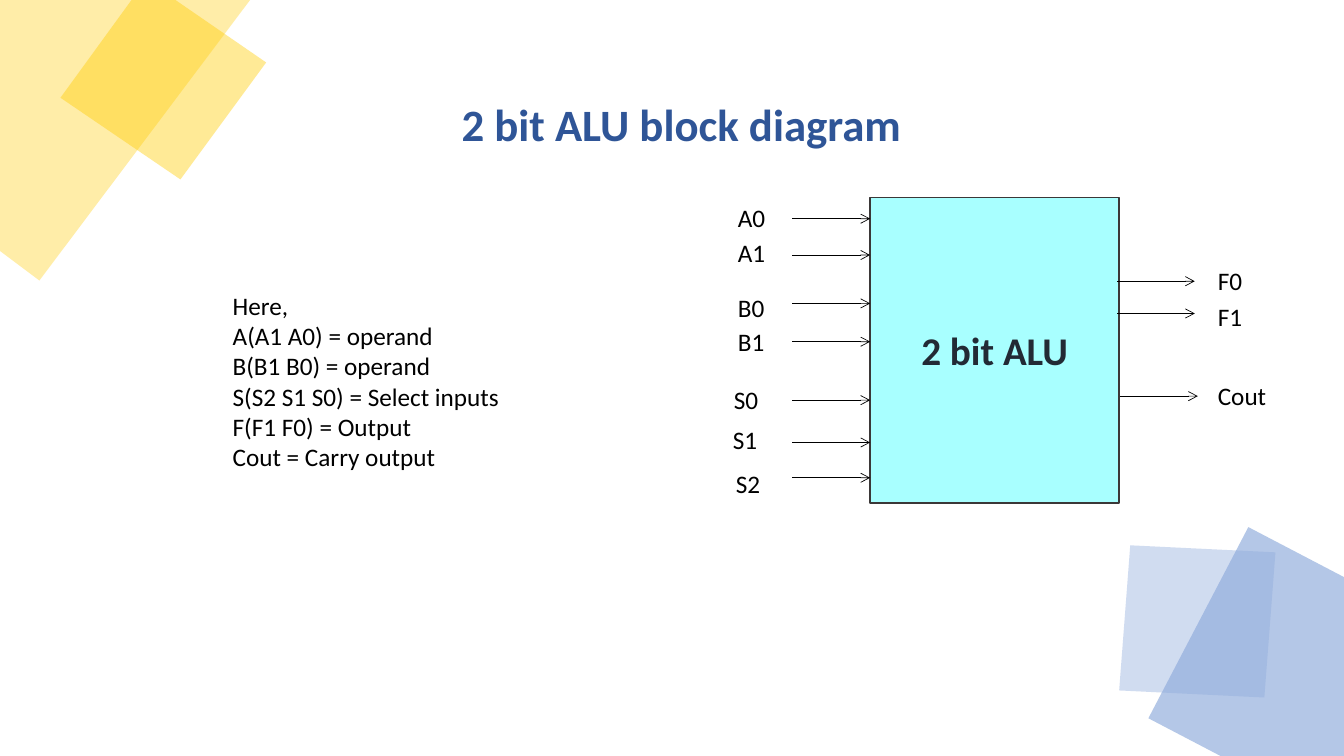
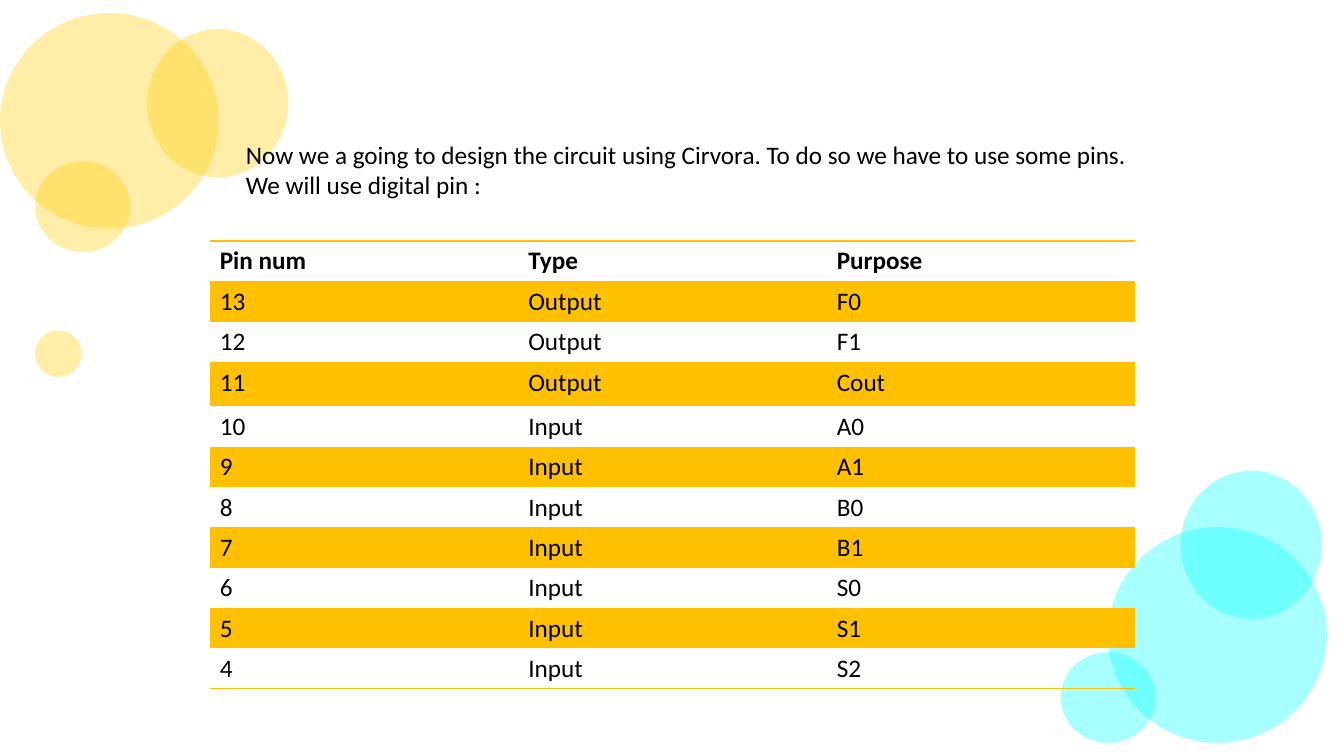
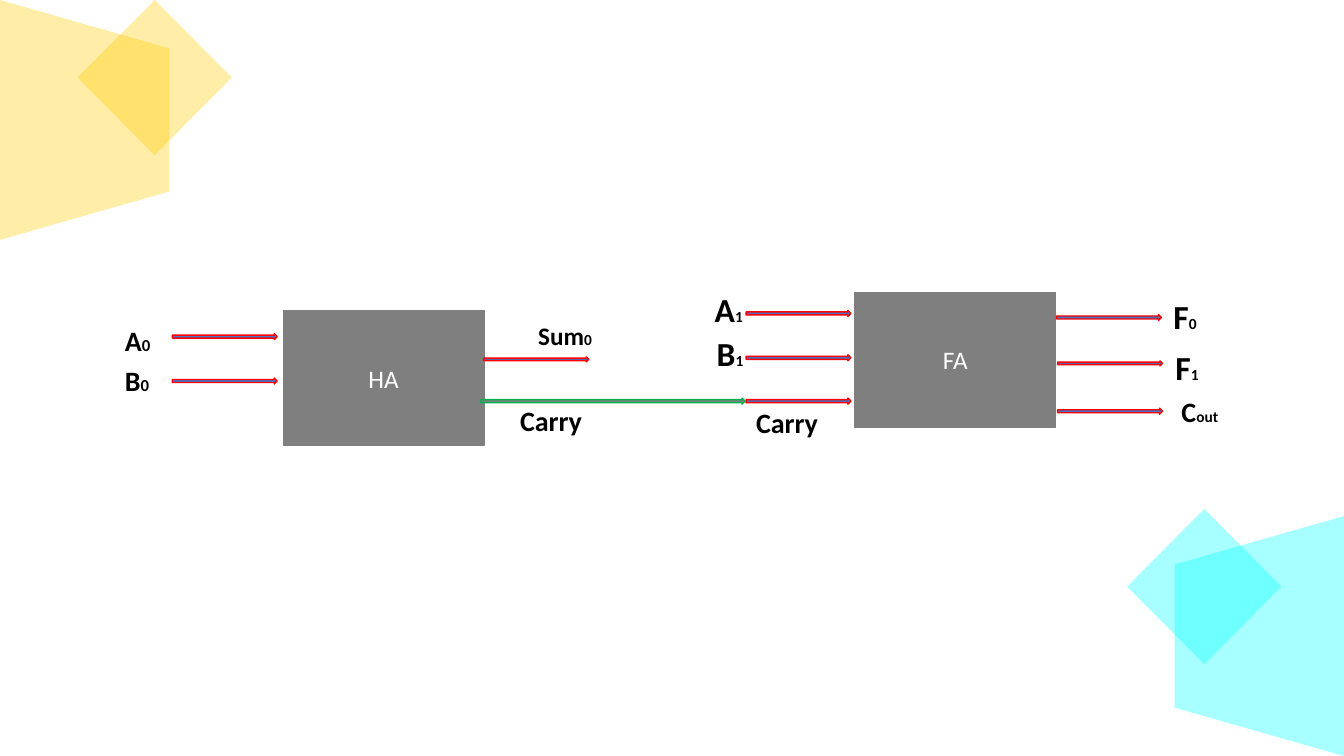
from lxml import etree
from pptx import Presentation
from pptx.dml.color import RGBColor
from pptx.enum.shapes import MSO_CONNECTOR, MSO_SHAPE
from pptx.enum.text import MSO_ANCHOR, PP_ALIGN
from pptx.oxml.ns import qn
from pptx.util import Inches, Pt

RECTANGLE, OVAL = MSO_SHAPE.RECTANGLE, MSO_SHAPE.OVAL
DIAMOND, RIGHT_ARROW = MSO_SHAPE.DIAMOND, MSO_SHAPE.RIGHT_ARROW
STRAIGHT = MSO_CONNECTOR.STRAIGHT
LEFT, CENTER = PP_ALIGN.LEFT, PP_ALIGN.CENTER
MIDDLE = MSO_ANCHOR.MIDDLE

# Shared look
SLIDE_WIDTH, SLIDE_HEIGHT = 13.33, 7.5
FONT = "Calibri"
BLACK, WHITE, GRAY = "000000", "FFFFFF", "7F7F7F"
YELLOW, CYAN, AMBER = "FFCC00", "00FFFF", "FFC000"
BLUE, RED, GREEN = "4472C4", "FF0000", "00B050"
TITLE_BLUE, PALE_BLUE, SOFT_BLUE = "2F5597", "B4C7E7", "8FAADC"
NAVY, CHARCOAL = "222A35", "3B3838"
TINT = 34
NO_TABLE_STYLE = "{2D5ABB26-0587-4C30-8999-92F81FD0307C}"


def color(hex_string):
    return RGBColor.from_string(hex_string)


def write_text(frame, text, size=18, text_color=BLACK, bold=False, align=LEFT,
               subscript="", subscript_size=11):
    """Fill a text frame, one paragraph a line, with an optional smaller suffix."""
    frame.word_wrap = True
    for index, line in enumerate(text.split("\n")):
        paragraph = frame.paragraphs[0] if index == 0 else frame.add_paragraph()
        paragraph.alignment = align
        for content, points in ((line, size), (subscript, subscript_size)):
            if content:
                run = paragraph.add_run()
                run.text = content
                run.font.name = FONT
                run.font.size = Pt(points)
                run.font.bold = bold
                run.font.color.rgb = color(text_color)


def add_text(slide, text, left, top, width, height, **text_format):
    box = slide.shapes.add_textbox(Inches(left), Inches(top), Inches(width), Inches(height))
    write_text(box.text_frame, text, **text_format)


def add_title(slide, text, left, top, width):
    add_text(slide, text, left, top, width, 0.64, size=32, text_color=TITLE_BLUE, bold=True)


def style_shape(shape, fill, opacity=100, line=None):
    shape.shadow.inherit = False
    shape.fill.solid()
    shape.fill.fore_color.rgb = color(fill)
    if opacity < 100:
        fill_color = shape.fill._xPr.find(qn("a:solidFill"))[0]
        etree.SubElement(fill_color, qn("a:alpha"), val=str(opacity * 1000))
    if line:
        shape.line.color.rgb = color(line)
        shape.line.width = Pt(1)
    else:
        shape.line.fill.background()


def add_shape(slide, kind, left, top, width, height, fill, rotation=0, **style):
    shape = slide.shapes.add_shape(kind, Inches(left), Inches(top), Inches(width), Inches(height))
    shape.rotation = rotation
    style_shape(shape, fill, **style)
    return shape


def add_polygon(slide, points, fill, opacity):
    corners = [(Inches(x), Inches(y)) for x, y in points]
    builder = slide.shapes.build_freeform(*corners[0])
    builder.add_line_segments(corners[1:], close=True)
    style_shape(builder.convert_to_shape(), fill, opacity)


def add_block(slide, text, left, top, width, height, fill, line, opacity=100, **text_format):
    block = add_shape(slide, RECTANGLE, left, top, width, height, fill, opacity=opacity, line=line)
    block.text_frame.vertical_anchor = MIDDLE
    write_text(block.text_frame, text, align=CENTER, **text_format)


def add_thin_arrow(slide, left, top, length=0.77):
    arrow = slide.shapes.add_connector(
        STRAIGHT, Inches(left), Inches(top), Inches(left + length), Inches(top))
    arrow.line.color.rgb = color(BLACK)
    arrow.line.width = Pt(0.5)
    etree.SubElement(arrow.line._get_or_add_ln(), qn("a:tailEnd"), type="arrow")
    etree.SubElement(arrow._element.spPr, qn("a:effectLst"))


def add_signal_arrow(slide, left, top, width=1.04, height=0.06, fill=BLUE, line=RED):
    add_shape(slide, RIGHT_ARROW, left, top, width, height, fill, line=line)


def set_cell_border(cell, *sides):
    """Rule the given sides; borders come before the fill in the cell's properties."""
    properties = cell._tc.get_or_add_tcPr()
    for index, side in enumerate(sides):
        border = etree.Element(qn("a:" + side), w=str(Pt(1)))
        fill = etree.SubElement(border, qn("a:solidFill"))
        etree.SubElement(fill, qn("a:srgbClr"), val=AMBER)
        properties.insert(index, border)


def add_pin_table(slide, rows, left, top, column_width, row_height):
    columns = len(rows[0])
    table = slide.shapes.add_table(
        len(rows), columns, Inches(left), Inches(top),
        Inches(column_width * columns), Inches(row_height * len(rows))).table
    table.first_row = table.horz_banding = False
    table._tbl.tblPr.find(qn("a:tableStyleId")).text = NO_TABLE_STYLE
    for column in table.columns:
        column.width = Inches(column_width)
    for row_index, values in enumerate(rows):
        table.rows[row_index].height = Inches(row_height)
        for column_index, value in enumerate(values):
            cell = table.cell(row_index, column_index)
            write_text(cell.text_frame, value, bold=row_index == 0)
            if row_index % 2:
                cell.fill.solid()
                cell.fill.fore_color.rgb = color(AMBER)
            else:
                cell.fill.background()
            if row_index == 0:
                set_cell_border(cell, "lnT", "lnB")
            elif row_index == len(rows) - 1:
                set_cell_border(cell, "lnB")
    return table


def build_block_diagram(slide):
    # Corner decoration
    add_shape(slide, RECTANGLE, -1.03, -1.71, 2.92, 4.02, YELLOW, rotation=36.9, opacity=TINT)
    add_polygon(slide, [(0.6, 0.97), (1.45, -0.2), (2.64, 0.62), (1.79, 1.78)], YELLOW, 41)
    add_shape(slide, RECTANGLE, 11.73, 5.74, 2.73, 2.14, PALE_BLUE, rotation=27.6)
    add_polygon(slide, [(11.1, 6.85), (11.21, 5.41), (12.65, 5.48), (12.54, 6.92)], SOFT_BLUE, 41)

    # Title and block
    add_title(slide, "2 bit ALU block diagram", 4.48, 0.91, 4.67)
    add_block(slide, "2 bit ALU", 8.63, 1.96, 2.47, 3.03, CYAN, CHARCOAL, opacity=TINT,
              size=28, text_color=NAVY, bold=True)

    # Pins: name, arrow left and top, label left and top
    pins = [
        ("A0", 7.86, 2.17, 7.22, 1.96), ("A1", 7.86, 2.53, 7.22, 2.31),
        ("B0", 7.86, 3.01, 7.22, 2.85), ("B1", 7.86, 3.39, 7.22, 3.19),
        ("S0", 7.86, 3.97, 7.18, 3.76), ("S1", 7.86, 4.39, 7.17, 4.16),
        ("S2", 7.86, 4.74, 7.2, 4.6),
        ("F0", 11.08, 2.79, 11.98, 2.58), ("F1", 11.08, 3.11, 11.98, 2.94),
        ("Cout", 11.11, 3.93, 11.98, 3.72),
    ]
    for name, arrow_left, arrow_top, label_left, label_top in pins:
        add_thin_arrow(slide, arrow_left, arrow_top)
        add_text(slide, name, label_left, label_top, 0.69, 0.4)

    # Legend
    add_text(slide, "Here,\nA(A1 A0) = operand\nB(B1 B0) = operand\n"
             "S(S2 S1 S0) = Select inputs\nF(F1 F0) = Output\nCout = Carry output",
             2.21, 2.83, 3.33, 1.92)


def build_pin_list(slide):
    # Bubbles
    bubbles = [
        (0, 0.13, 2.17, 2.14, YELLOW), (0.35, 1.6, 0.94, 0.9, YELLOW),
        (1.46, 0.29, 1.4, 1.47, YELLOW), (0.35, 3.28, 0.46, 0.46, YELLOW),
        (10.99, 5.23, 2.17, 2.14, CYAN), (11.71, 4.67, 1.4, 1.47, CYAN),
        (10.52, 6.47, 0.94, 0.9, CYAN),
    ]
    for bubble in bubbles:
        add_shape(slide, OVAL, *bubble, opacity=TINT)

    # Introduction
    add_text(slide, "Now we a going to design the circuit using Cirvora. "
             "To do so we have to use some pins.\nWe will use digital pin :",
             2.34, 1.33, 9.38, 0.7)

    # Pin table, numbered downwards from 13
    purposes = ["F0", "F1", "Cout", "A0", "A1", "B0", "B1", "S0", "S1", "S2"]
    rows = [("Pin num", "Type", "Purpose")]
    for index, purpose in enumerate(purposes):
        rows.append((str(13 - index), "Output" if index < 3 else "Input", purpose))
    table = add_pin_table(slide, rows, 2.08, 2.39, 3.06, 0.4)
    table.rows[3].height = Inches(0.44)


def build_adder_diagram(slide):
    # Corner decoration: the lower trapezoid is the upper one turned by half
    trapezoid = [(0, 2.38), (0, 0), (1.68, 0.48), (1.68, 1.9)]
    turned = [(SLIDE_WIDTH - x, SLIDE_HEIGHT - y) for x, y in trapezoid]
    add_polygon(slide, trapezoid, YELLOW, TINT)
    add_polygon(slide, turned, CYAN, TINT)
    add_shape(slide, DIAMOND, 0.77, 0, 1.53, 1.54, YELLOW, opacity=TINT)
    add_shape(slide, DIAMOND, 11.18, 5.05, 1.53, 1.54, CYAN, opacity=TINT)

    # Adders
    for name, left, top in (("HA", 2.81, 3.08), ("FA", 8.48, 2.9)):
        add_block(slide, name, left, top, 1.99, 1.34, GRAY, GRAY, text_color=WHITE)

    # Signals
    for left, top in ((1.71, 3.31), (1.71, 3.75), (7.4, 3.08), (7.4, 3.52), (7.4, 3.95),
                      (10.48, 3.12), (10.49, 4.05)):
        add_signal_arrow(slide, left, top)
    for left, top in ((4.8, 3.54), (10.49, 3.58)):
        add_signal_arrow(slide, left, top, height=0.05)
    add_signal_arrow(slide, 4.77, 3.95, width=2.62, fill=GRAY, line=GREEN)

    # Labels: text, subscript, left, top, width, size, subscript size
    labels = [
        ("A", "0", 1.14, 3.16, 0.62, 20, 12), ("B", "0", 1.14, 3.56, 0.62, 20, 12),
        ("A", "1", 6.99, 2.82, 0.7, 24, 11), ("B", "1", 7.01, 3.25, 0.7, 24, 11),
        ("F", "0", 11.54, 2.89, 0.7, 24, 11), ("F", "1", 11.56, 3.39, 0.7, 24, 11),
        ("C", "out", 11.62, 3.86, 0.7, 20, 11), ("Sum", "0", 5.24, 3.13, 0.94, 18, 11),
        ("Carry", "", 5.06, 3.95, 0.84, 20, 11), ("Carry", "", 7.4, 3.97, 1.08, 20, 11),
    ]
    for text, subscript, left, top, width, size, subscript_size in labels:
        add_text(slide, text, left, top, width, 0.44, size=size, bold=True,
                 subscript=subscript, subscript_size=subscript_size)


def main():
    presentation = Presentation()
    presentation.slide_width = Inches(SLIDE_WIDTH)
    presentation.slide_height = Inches(SLIDE_HEIGHT)
    blank_layout = presentation.slide_layouts[6]
    for build in (build_block_diagram, build_pin_list, build_adder_diagram):
        build(presentation.slides.add_slide(blank_layout))
    presentation.save("out.pptx")


if __name__ == "__main__":
    main()
